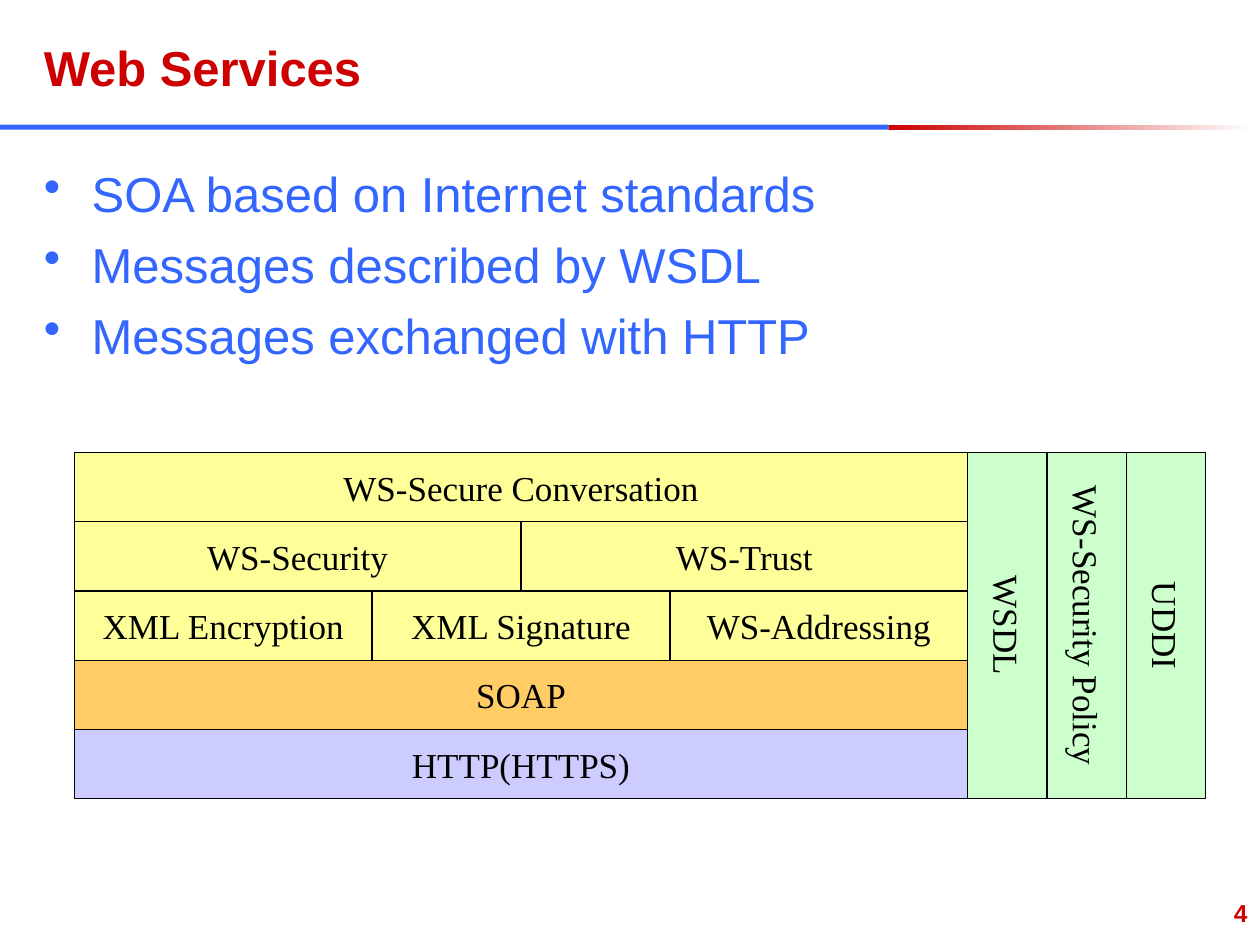
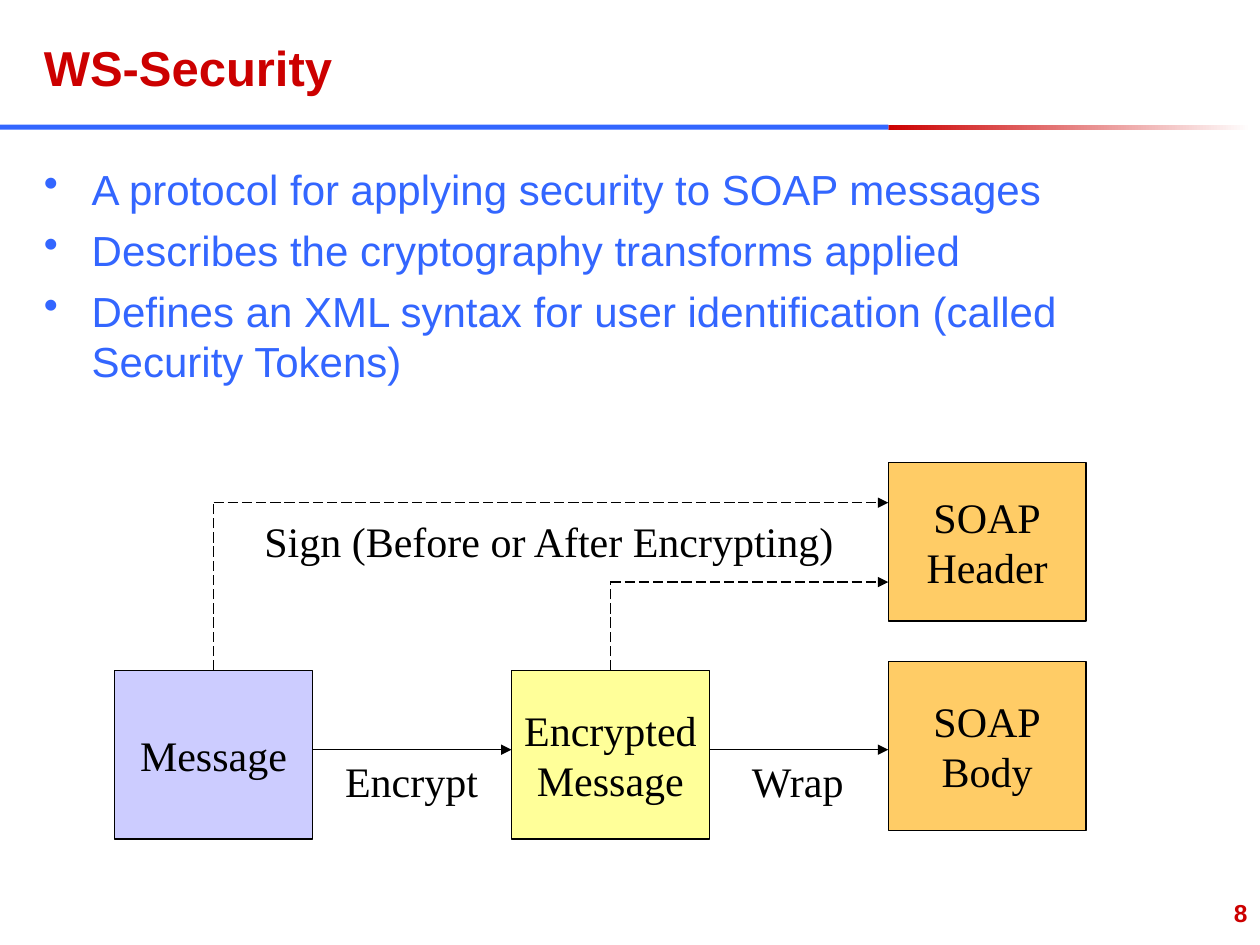
from pptx import Presentation
from pptx.dml.color import RGBColor
from pptx.enum.dml import MSO_LINE
from pptx.enum.shapes import MSO_CONNECTOR, MSO_SHAPE
from pptx.enum.text import MSO_ANCHOR, MSO_AUTO_SIZE, PP_ALIGN
from pptx.oxml.ns import qn
from pptx.util import Inches, Pt
from lxml.etree import SubElement

COLORS = {
    "red": "CC0000",
    "blue": "3366FF",
    "white": "FFFFFF",
    "black": "000000",
    "yellow": "FFFF99",
    "orange": "FFCC66",
    "lavender": "CCCCFF",
    "green": "CCFFCC",
}
HEADING = {"size": Pt(28), "name": "Arial", "bold": True}
PAGE_NUMBER = {"size": Pt(14), "name": "Arial", "bold": True}
STACK_TEXT = {"size": Pt(20), "name": "Times New Roman"}
FLOW_TEXT = {"size": Pt(24), "name": "Times New Roman"}


def color(name):
    return RGBColor.from_string(COLORS[name])


def apply(target, values):
    for name, value in values.items():
        setattr(target, name, value)


def write(box, lines, font, font_color, paragraph=None):
    frame = box.text_frame
    for index, line in enumerate(lines):
        para = frame.add_paragraph() if index else frame.paragraphs[0]
        apply(para, paragraph or {})
        span = para.add_run()
        span.text = line
        apply(span.font, font)
        span.font.color.rgb = color(font_color)
    return frame.paragraphs


def add_text(page, place, lines, font, font_color, paragraph=None, wrap=True):
    box = page.shapes.add_textbox(*map(Inches, place))
    fit = MSO_AUTO_SIZE.NONE if wrap else MSO_AUTO_SIZE.SHAPE_TO_FIT_TEXT
    apply(box.text_frame, {"word_wrap": wrap, "auto_size": fit})
    return write(box, lines, font, font_color, paragraph)


def add_rectangle(page, place):
    box = page.shapes.add_shape(MSO_SHAPE.RECTANGLE, *map(Inches, place))
    box.shadow.inherit = False
    return box


def add_block(page, place, lines, fill, font, rotation=0):
    box = add_rectangle(page, place)
    box.rotation = rotation
    box.fill.solid()
    box.fill.fore_color.rgb = color(fill)
    box.line.color.rgb = color("black")
    box.line.width = Pt(0.75)
    apply(box.text_frame, {"word_wrap": False, "vertical_anchor": MSO_ANCHOR.MIDDLE})
    write(box, lines, font, "black", {"alignment": PP_ALIGN.CENTER})
    return box


def add_bands(page):
    fade = add_rectangle(page, (7.05, 0.99, 2.88, 0.04))
    fade.fill.gradient()
    fade.fill.gradient_angle = 0
    for stop, name in zip(fade.fill.gradient_stops, ("red", "white")):
        stop.color.rgb = color(name)
    band = add_rectangle(page, (0, 0.99, 7.05, 0.04))
    band.fill.solid()
    band.fill.fore_color.rgb = color("blue")
    for box in (fade, band):
        box.line.fill.background()


def add_bullets(page, lines, size):
    paras = add_text(page, (0.25, 1.25, 9.5, 5.75), lines,
                     {"size": Pt(size), "name": "Arial"}, "blue",
                     {"space_before": Pt(size / 4)})
    for para in paras:
        properties = para._p.get_or_add_pPr()
        properties.set("marL", str(Inches(0.38)))
        properties.set("indent", str(-Inches(0.38)))
        bullet_color = SubElement(properties, qn("a:buClr"))
        SubElement(bullet_color, qn("a:srgbClr"), val=COLORS["blue"])
        SubElement(properties, qn("a:buChar"), char="•")


def add_page(deck, title, number, bullets, bullet_size):
    page = deck.slides.add_slide(deck.slide_layouts[6])
    add_bands(page)
    add_text(page, (0.25, 0.25, 6.83, 0.58), [title], HEADING, "red")
    add_bullets(page, bullets, bullet_size)
    add_text(page, (7.92, 7.08, 2.08, 0.42), [number], PAGE_NUMBER, "red",
             {"alignment": PP_ALIGN.RIGHT})
    return page


def add_line(page, start, end, source=None, dashed=False, arrow=True):
    line = page.shapes.add_connector(MSO_CONNECTOR.STRAIGHT, *map(Inches, start + end))
    line.line.color.rgb = color("black")
    line.line.width = Pt(0.75)
    if dashed:
        line.line.dash_style = MSO_LINE.LONG_DASH
    if arrow:
        SubElement(line.line._get_or_add_ln(), qn("a:tailEnd"), type="triangle")
    SubElement(line._element.spPr, qn("a:effectLst"))
    if source is not None:
        line.begin_connect(source, 0)


def add_protocol_stack(page):
    left, top, width, row_height = 0.59, 3.59, 7.09, 0.55
    rows = [
        ("yellow", ["WS-Secure Conversation"]),
        ("yellow", ["WS-Security", "WS-Trust"]),
        ("yellow", ["XML Encryption", "XML Signature", "WS-Addressing"]),
        ("orange", ["SOAP"]),
        ("lavender", ["HTTP(HTTPS)"]),
    ]
    for row, (fill, labels) in enumerate(rows):
        block_width = width / len(labels)
        for column, label in enumerate(labels):
            place = (left + column * block_width, top + row * row_height,
                     block_width, row_height)
            add_block(page, place, [label], fill, STACK_TEXT)

    height, pillar_width = row_height * len(rows), 0.63
    for index, label in enumerate(["WSDL", "WS-Security Policy", "UDDI"]):
        center = left + width + (index + 0.5) * pillar_width
        place = (center - height / 2, top + (height - pillar_width) / 2,
                 height, pillar_width)
        add_block(page, place, [label], "green", STACK_TEXT, rotation=90)


def add_signing_flow(page):
    width, height = 1.57, 1.34
    message_left, encrypted_left, soap_left = 0.91, 4.06, 7.05
    top, flow_y = 5.32, 5.95

    message = add_block(page, (message_left, top, width, height),
                        ["Message"], "lavender", FLOW_TEXT)
    encrypted = add_block(page, (encrypted_left, top, width, height),
                          ["Encrypted", "Message"], "yellow", FLOW_TEXT)
    add_block(page, (soap_left, 5.25, width, height), ["SOAP", "Body"], "orange", FLOW_TEXT)
    add_block(page, (soap_left, 3.67, width, 1.26), ["SOAP", "Header"], "orange", FLOW_TEXT)

    for left, target in ((message_left, encrypted_left), (encrypted_left, soap_left)):
        add_line(page, (left + width, flow_y), (target, flow_y))

    for source, left, sign_y in ((message, message_left, 3.99),
                                 (encrypted, encrypted_left, 4.62)):
        corner = (left + width / 2, sign_y)
        add_line(page, (corner[0], top), corner, source, dashed=True, arrow=False)
        add_line(page, corner, (soap_left, sign_y), dashed=True)

    for label, left, label_top, label_width in (
        ("Sign (Before or After Encrypting)", 2, 4.04, 4.76),
        ("Encrypt", 2.64, flow_y, 1.3),
        ("Wrap", 5.87, flow_y, 0.96),
    ):
        add_text(page, (left, label_top, label_width, 0.5), [label],
                 FLOW_TEXT, "black", wrap=False)


def main():
    deck = Presentation()
    apply(deck, {"slide_width": Inches(10), "slide_height": Inches(7.5)})

    services = add_page(deck, "Web Services", "4", [
        "SOA based on Internet standards",
        "Messages described by WSDL",
        "Messages exchanged with HTTP",
    ], 28)
    add_protocol_stack(services)

    security = add_page(deck, "WS-Security", "8", [
        "A protocol for applying security to SOAP messages",
        "Describes the cryptography transforms applied",
        "Defines an XML syntax for user identification (called Security Tokens)",
    ], 24)
    add_signing_flow(security)

    deck.save("out.pptx")


if __name__ == "__main__":
    main()
